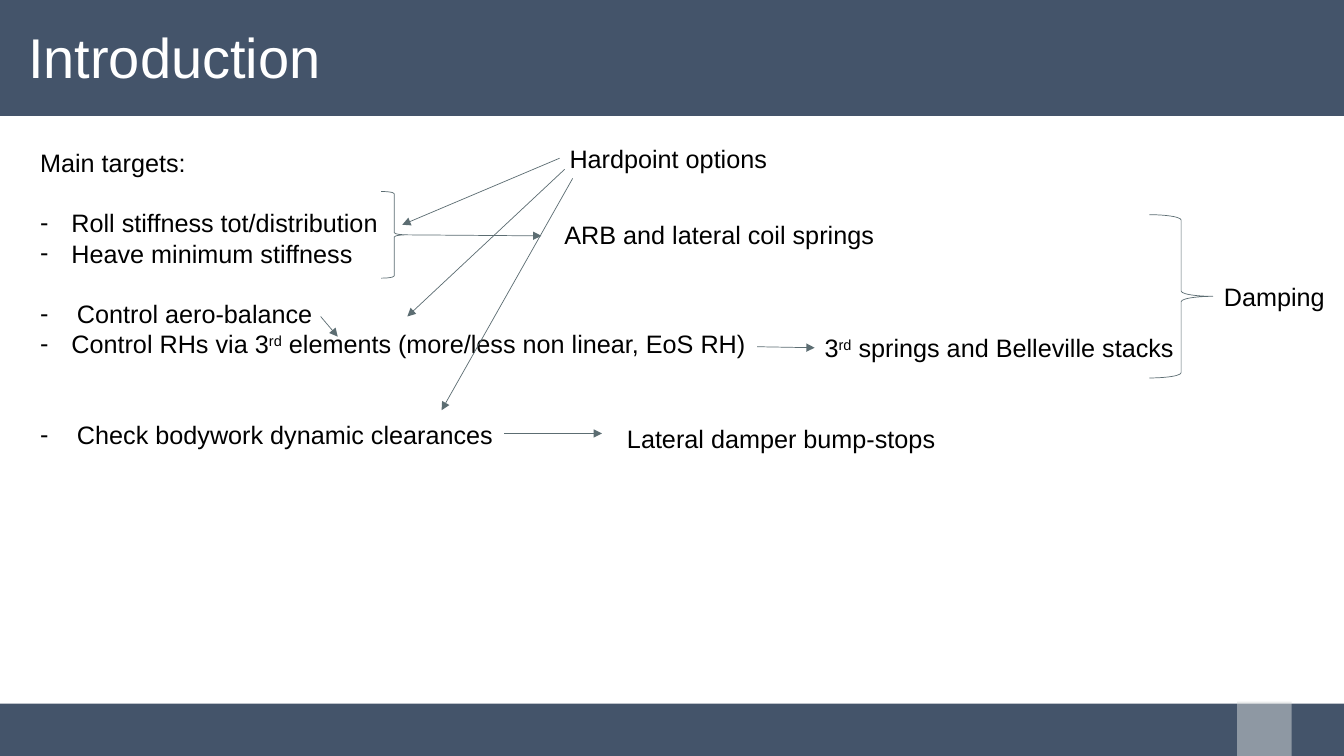
from lxml import etree
from pptx import Presentation
from pptx.dml.color import RGBColor
from pptx.enum.shapes import MSO_CONNECTOR, MSO_SHAPE
from pptx.enum.text import MSO_ANCHOR, MSO_AUTO_SIZE, PP_ALIGN
from pptx.oxml.ns import qn
from pptx.util import Inches, Pt

RECT, BRACE = MSO_SHAPE.RECTANGLE, MSO_SHAPE.RIGHT_BRACE
STRAIGHT = MSO_CONNECTOR.STRAIGHT
MIDDLE, TOP = MSO_ANCHOR.MIDDLE, MSO_ANCHOR.TOP
FIT, NO_FIT = MSO_AUTO_SIZE.SHAPE_TO_FIT_TEXT, MSO_AUTO_SIZE.NONE
LEFT = PP_ALIGN.LEFT

COLORS = {"bar": "44546A", "tab": "D9DCDC", "line": "5C6D72",
          "title": "FFFFFF", "text": "000000"}
FONT = "Arial"
CELL = 0.1  # inches per grid column and row
COLS, ROWS = 133.3, 75
LABEL_ROWS = 4
BODY_SIZE = 18
BLANK = 21.7  # points in one skipped line


def grid(*cells):
    return [Inches(c * CELL) for c in cells]


def rgb(name):
    return RGBColor.from_string(COLORS[name])


class Deck:
    """Holds the slide and draws each kind of element in its style."""

    def __init__(self):
        self.prs = Presentation()
        self.prs.slide_width, self.prs.slide_height = grid(COLS, ROWS)
        self.s = self.prs.slides.add_slide(self.prs.slide_layouts[6])

    def bar(self, x, y, w, h, color, alpha=None):
        sp = self.s.shapes.add_shape(RECT, *grid(x, y, w, h))
        sp.shadow.inherit = False
        sp.fill.solid()
        sp.fill.fore_color.rgb = rgb(color)
        sp.line.fill.background()
        if alpha is not None:
            clr = sp._element.spPr.find(".//" + qn("a:srgbClr"))
            etree.SubElement(clr, qn("a:alpha"), val=str(alpha * 1000))

    def brace(self, x, y, w, h):
        sp = self.s.shapes.add_shape(BRACE, *grid(x, y, w, h))
        sp.shadow.inherit = False
        sp.fill.background()
        sp.line.color.rgb = rgb("line")
        sp.line.width = Pt(0.5)

    def arrow(self, x1, y1, x2, y2, begin=None, end=None):
        cx = self.s.shapes.add_connector(STRAIGHT, *grid(x1, y1, x2, y2))
        if begin:
            cx.begin_connect(begin, 1)
        if end:
            cx.end_connect(end, 1)
        cx.line.color.rgb = rgb("line")
        cx.line.width = Pt(0.5)
        spPr = cx._element.spPr
        etree.SubElement(spPr.find(qn("a:ln")), qn("a:tailEnd"), type="triangle")
        etree.SubElement(spPr, qn("a:effectLst"))

    def box(self, x, y, w, h, wrap=False, anchor=TOP):
        sp = self.s.shapes.add_textbox(*grid(x, y, w, h))
        tf = sp.text_frame
        tf.word_wrap, tf.vertical_anchor = wrap, anchor
        tf.auto_size = NO_FIT if wrap else FIT
        return sp

    def add_runs(self, p, runs, size=BODY_SIZE, color="text"):
        p.alignment = LEFT
        for text in runs:
            r = p.add_run()
            r.text = text
            r.font.name, r.font.size = FONT, Pt(size)
            r.font.color.rgb = rgb(color)
            if text == "rd":
                r._r.get_or_add_rPr().set("baseline", "30000")

    def title(self, text, x, y, w, h):
        tf = self.box(x, y, w, h, wrap=True, anchor=MIDDLE).text_frame
        tf.margin_left, tf.margin_top, tf.margin_bottom = grid(2.8, 0.8, 0.4)
        tf.paragraphs[0].line_spacing = 0.9
        self.add_runs(tf.paragraphs[0], [text], 40, "title")

    def label(self, x, y, w, *runs):
        sp = self.box(x, y, w, LABEL_ROWS)
        self.add_runs(sp.text_frame.paragraphs[0], runs)
        return sp

    def targets(self, x, y, w, h, heading, items):
        tf = self.box(x, y, w, h).text_frame
        self.add_runs(tf.paragraphs[0], [heading])
        for skipped, indent, runs in items:
            p = tf.add_paragraph()
            p.space_before = Pt(skipped * BLANK)
            self.add_runs(p, runs)
            pPr = p._p.get_or_add_pPr()
            width = grid(indent)[0]
            pPr.set("marL", str(width))
            pPr.set("indent", str(-width))
            etree.SubElement(pPr, qn("a:buFont"), typeface=FONT)
            etree.SubElement(pPr, qn("a:buChar"), char="-")


def main():
    d = Deck()

    # Header and footer
    d.bar(0, 0, COLS, 11.5, "bar")
    d.bar(0, 69.8, COLS, 5.2, "bar")
    d.bar(122.7, 69.6, 5.4, 5.4, "tab", alpha=50)
    d.title("Introduction", 0, 0, COLS, 11.5)

    # Targets: skipped lines, indent, runs
    d.targets(3, 14.1, 72.9, 31.3, "Main targets:", [
        (1, 3.1, ["Roll stiffness tot/distribution"]),
        (0, 3.1, ["Heave minimum stiffness"]),
        (1, 3.65, ["Control aero-balance"]),
        (0, 3.1, ["Control RHs via 3", "rd",
                  " elements (more/less non linear, EoS RH)"]),
        (2, 3.65, ["Check bodywork dynamic clearances"]),
    ])

    # Means
    d.label(55, 21.3, 33, "ARB and lateral coil springs")
    stacks = d.label(80.8, 32.5, 37.2, "3", "rd", " springs and Belleville stacks")
    d.label(61.2, 41.5, 32.9, "Lateral damper bump-stops")
    d.label(120.4, 27.4, 12.1, "Damping")
    hardpoints = d.label(55.5, 13.7, 21.8, "Hardpoint options")

    # Braces
    d.brace(37.8, 19, 2.6, 8.6)
    d.brace(114, 21.3, 6.3, 16.2)

    # Arrows from targets to means
    d.arrow(40.4, 23.3, 53.7, 23.4)
    d.arrow(75.1, 34.4, 80.8, 34.4, end=stacks)
    d.arrow(50, 43, 59.7, 43)
    d.arrow(31.8, 31.4, 33.5, 33.4)

    # Arrows from hardpoint options
    d.arrow(55.5, 15.7, 39.9, 22.3, begin=hardpoints)
    d.arrow(56, 16.8, 40.4, 31.4)
    d.arrow(56.8, 17.7, 43.8, 40.7)

    d.prs.save("out.pptx")


if __name__ == "__main__":
    main()
